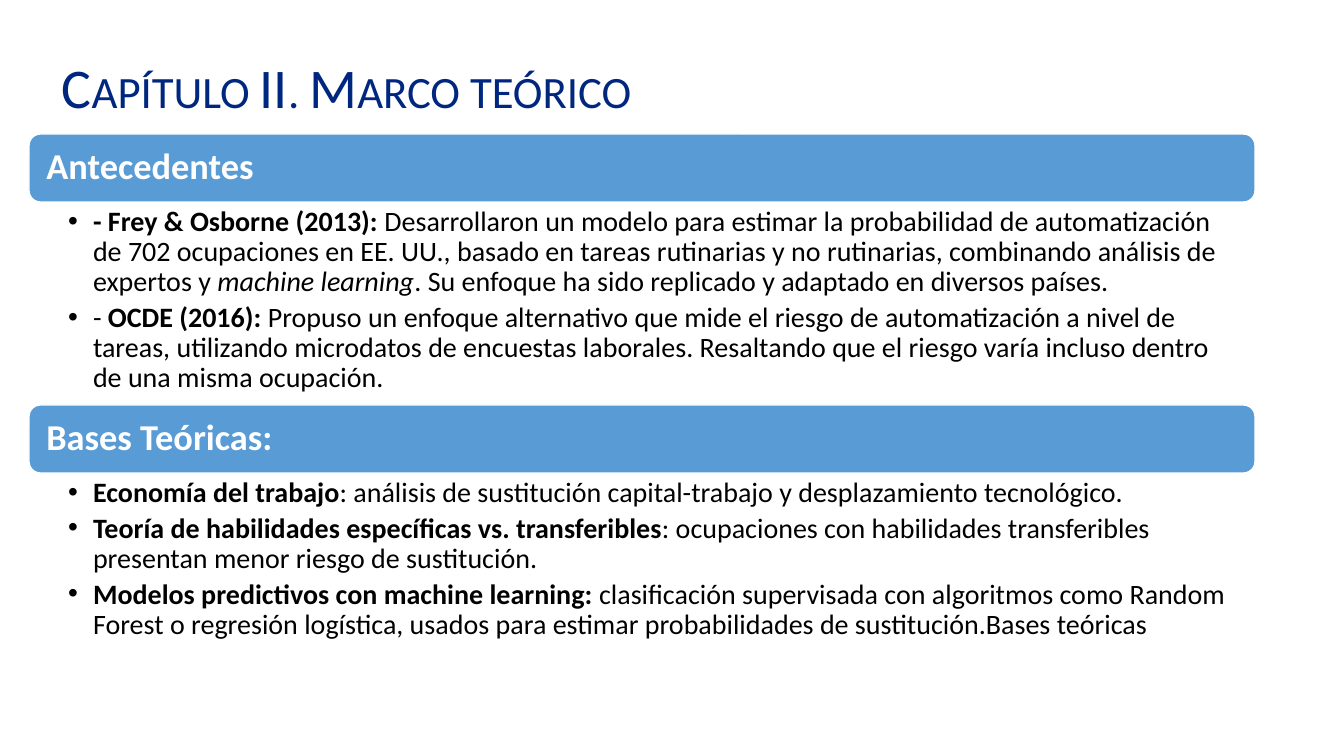
from lxml import etree
from pptx import Presentation, util as u
from pptx.dml.color import RGBColor
from pptx.enum import shapes, text
from pptx.oxml import ns

PX = 914400 / 100.8  # EMU in one px
LEFT, WIDTH, BANNER_HEIGHT = 29, 1226, 68
INDENT = 25


def px(*lengths):
    return [u.Emu(round(length * PX)) for length in lengths]


def style(run, size, color, bold=False, italic=False):
    run.font.name = "Calibri"
    run.font.size = u.Pt(size)
    run.font.color.rgb = RGBColor.from_string(color)
    run.font.bold = bold
    run.font.italic = italic


# Each section: heading, top, body height, bullets made of (words, emphasis)
sections = [
    ("Antecedentes", 134, 202, [
        [("- Frey & Osborne (2013): ", "bold"),
         ("Desarrollaron un modelo para estimar la probabilidad de automatización "
          "de 702 ocupaciones en EE. UU., basado en tareas rutinarias y no rutinarias, "
          "combinando análisis de expertos y ", ""),
         ("machine learning", "italic"),
         (". Su enfoque ha sido replicado y adaptado en diversos países.", "")],
        [("- ", ""),
         ("OCDE (2016): ", "bold"),
         ("Propuso un enfoque alternativo que mide el riesgo de automatización a nivel "
          "de tareas, utilizando microdatos de encuestas laborales. Resaltando que el "
          "riesgo varía incluso dentro de una misma ocupación.", "")],
    ]),
    ("Bases Teóricas:", 405, 175, [
        [("Economía del trabajo", "bold"),
         (": análisis de sustitución capital-trabajo y desplazamiento tecnológico.", "")],
        [("Teoría de habilidades específicas vs. transferibles", "bold"),
         (": ocupaciones con habilidades transferibles presentan menor riesgo de "
          "sustitución.", "")],
        [("Modelos predictivos con machine learning:", "bold"),
         (" clasificación supervisada con algoritmos como Random Forest o regresión "
          "logística, usados para estimar probabilidades de sustitución.Bases teóricas", "")],
    ]),
]

prs = Presentation()
prs.slide_width, prs.slide_height = px(1344, 756)
slide = prs.slides.add_slide(prs.slide_layouts[6])

# Title in small capitals
title = slide.shapes.add_textbox(*px(52, -20, 1159, 146)).text_frame
title.word_wrap = True
title.vertical_anchor = text.MSO_ANCHOR.BOTTOM
title.text = "Capítulo II. Marco teórico"
title.paragraphs[0].line_spacing = 0.9
title_run = title.paragraphs[0].runs[0]
style(title_run, 40, "002780")
title_run._r.get_or_add_rPr().set("cap", "small")

for heading, top, body_height, bullets in sections:
    # Banner with the section heading
    banner = slide.shapes.add_shape(shapes.MSO_SHAPE.ROUNDED_RECTANGLE,
                                    *px(LEFT, top, WIDTH, BANNER_HEIGHT))
    banner.shadow.inherit = False
    banner.fill.solid()
    banner.fill.fore_color.rgb = RGBColor.from_string("599BD5")
    banner.line.color.rgb = RGBColor.from_string("FFFFFF")
    banner.line.width = u.Pt(1)
    label = banner.text_frame
    label.word_wrap = True
    label.vertical_anchor = text.MSO_ANCHOR.MIDDLE
    label.margin_left, label.margin_right = px(14, 14)
    label.text = heading
    label.paragraphs[0].alignment = text.PP_ALIGN.LEFT
    label.paragraphs[0].line_spacing = 0.9
    style(label.paragraphs[0].runs[0], 26, "FFFFFF", bold=True)

    # Bulleted body under the banner
    body = slide.shapes.add_textbox(
        *px(LEFT, top + BANNER_HEIGHT + 1, WIDTH, body_height)).text_frame
    body.word_wrap = True
    (body.margin_left, body.margin_top,
     body.margin_right, body.margin_bottom) = px(39, 4, 20, 4)
    for number, pieces in enumerate(bullets):
        item = body.add_paragraph() if number else body.paragraphs[0]
        item.level = 1
        item.line_spacing = 0.9
        if number:
            item.space_before = u.Pt(4)
        props = item._p.get_or_add_pPr()
        indent, = px(INDENT)
        props.set("marL", str(indent))
        props.set("indent", str(-indent))
        bullet_color = etree.SubElement(props, ns.qn("a:buClr"))
        etree.SubElement(bullet_color, ns.qn("a:srgbClr"), val="000000")
        etree.SubElement(props, ns.qn("a:buFont"), typeface="Arial")
        etree.SubElement(props, ns.qn("a:buChar"), char="•")
        for words, emphasis in pieces:
            run = item.add_run()
            run.text = words
            style(run, 20, "000000", emphasis == "bold", emphasis == "italic")

prs.save("out.pptx")
